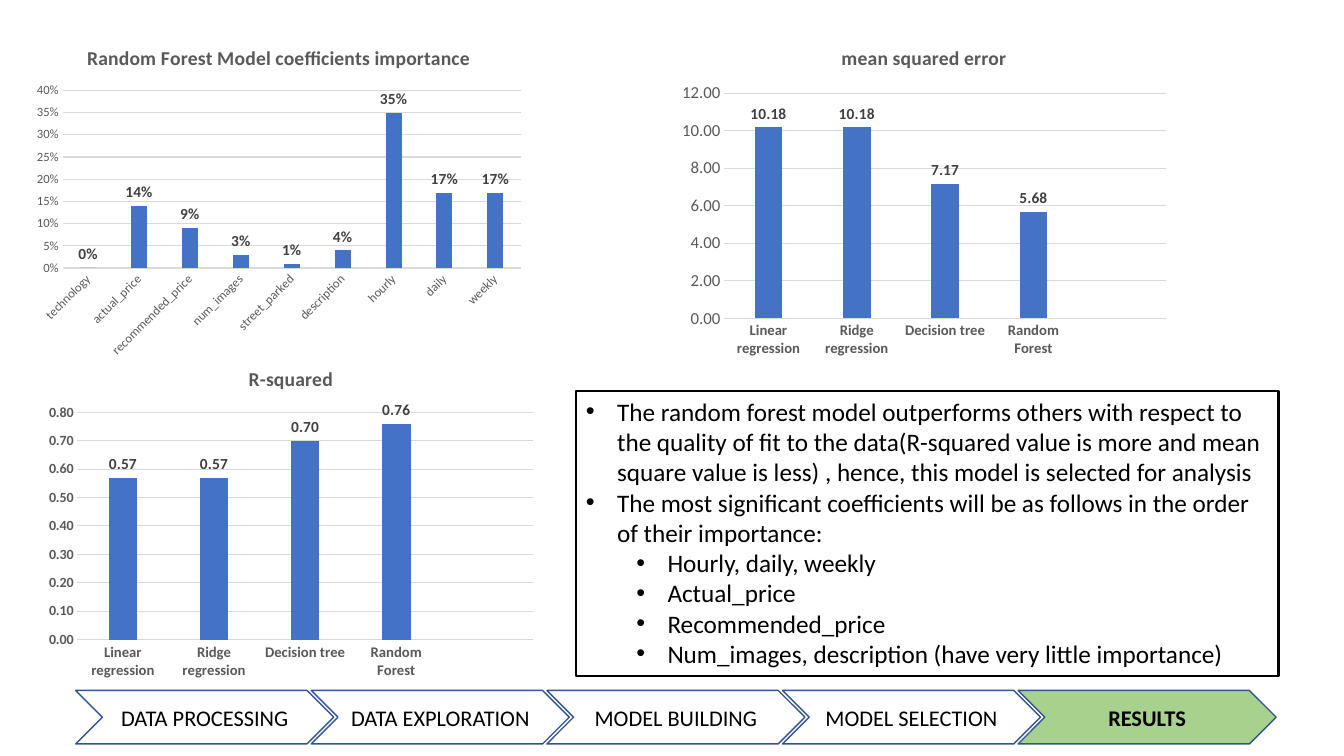
from dataclasses import dataclass

from lxml.etree import SubElement
from pptx import Presentation
from pptx.chart.data import CategoryChartData
from pptx.dml.color import RGBColor
from pptx.enum.chart import XL_CHART_TYPE, XL_LABEL_POSITION, XL_TICK_MARK
from pptx.enum.shapes import MSO_SHAPE
from pptx.enum.text import MSO_ANCHOR, MSO_AUTO_SIZE, PP_ALIGN
from pptx.oxml.ns import qn
from pptx.util import Emu, Inches, Pt

BLACK = RGBColor(0x00, 0x00, 0x00)
WHITE = RGBColor(0xFF, 0xFF, 0xFF)
BLUE = RGBColor(0x44, 0x72, 0xC4)
OUTLINE = RGBColor(0x32, 0x54, 0x91)
GREEN = RGBColor(0xA9, 0xD1, 0x8E)
GREY = RGBColor(0x59, 0x59, 0x59)
DARK_GREY = RGBColor(0x40, 0x40, 0x40)
PALE_GREY = RGBColor(0xD9, 0xD9, 0xD9)
FONT = "Calibri"

deck = Presentation()
deck.slide_width, deck.slide_height = Inches(13.33), Inches(7.5)
page = deck.slides.add_slide(deck.slide_layouts[1])


@dataclass(frozen=True)
class Area:
    left: float
    top: float
    width: float
    height: float

    def lengths(self) -> list[Emu]:
        pairs = ((self.left, deck.slide_width), (self.top, deck.slide_height),
                 (self.width, deck.slide_width), (self.height, deck.slide_height))
        return [Emu(round(share * side / 100)) for share, side in pairs]


@dataclass(frozen=True)
class ColumnChart:
    title: str
    left: float
    top: float
    categories: tuple
    values: tuple
    maximum: float
    step: float
    number_format: str = "0.00"
    category_size: float = 10.5
    category_bold: bool = True
    value_size: float = 12
    value_bold: bool = False
    slanted: bool = False


@dataclass(frozen=True)
class Bullet:
    text: str
    level: int = 0


def style_font(font, size: float, color: RGBColor, bold: bool = False) -> None:
    font.name, font.size, font.bold = FONT, Pt(size), bold
    font.color.rgb = color


def write(para, text: str, *, size: float, color: RGBColor = BLACK, bold: bool = False) -> None:
    span = para.add_run()
    span.text = text
    style_font(span.font, size, color, bold)


def style_line(line, color: RGBColor, width: float) -> None:
    line.color.rgb = color
    line.width = Pt(width)


def draw_chart(item: ColumnChart) -> None:
    data = CategoryChartData(number_format=item.number_format)
    data.categories = item.categories
    data.add_series(item.title, item.values)
    area = Area(item.left, item.top, 37.5, 44.5)
    chart = page.shapes.add_chart(XL_CHART_TYPE.COLUMN_CLUSTERED, *area.lengths(), data).chart
    style_font(chart.font, 10, BLACK)
    chart.has_legend = False
    chart.has_title = True
    write(chart.chart_title.text_frame.paragraphs[0], item.title, size=14, color=GREY, bold=True)
    chart.chart_title.include_in_layout = False

    plot = chart.plots[0]
    plot.vary_by_categories = False
    plot.gap_width, plot.overlap = 219, -27
    fill = plot.series[0].format.fill
    fill.solid()
    fill.fore_color.rgb = BLUE
    plot.has_data_labels = True
    labels = plot.data_labels
    labels.show_value = True
    labels.position = XL_LABEL_POSITION.OUTSIDE_END
    labels.number_format, labels.number_format_is_linked = item.number_format, False
    style_font(labels.font, 11, DARK_GREY, True)

    for axis in (chart.category_axis, chart.value_axis):
        axis.major_tick_mark = axis.minor_tick_mark = XL_TICK_MARK.NONE
    style_font(chart.category_axis.tick_labels.font, item.category_size, GREY, item.category_bold)
    style_line(chart.category_axis.format.line, PALE_GREY, 0.75)
    if item.slanted:
        chart.element.xpath(".//c:catAx/c:txPr/a:bodyPr")[0].set("rot", "-2700000")
    scale = chart.value_axis
    scale.minimum_scale, scale.maximum_scale, scale.major_unit = 0, item.maximum, item.step
    scale.format.line.fill.background()
    style_line(scale.major_gridlines.format.line, PALE_GREY, 0.75)
    scale.tick_labels.number_format = item.number_format
    scale.tick_labels.number_format_is_linked = False
    style_font(scale.tick_labels.font, item.value_size, GREY, item.value_bold)


def draw_findings(area: Area, bullets: tuple) -> None:
    box = page.placeholders[1]
    box.left, box.top, box.width, box.height = area.lengths()
    style_line(box.line, BLACK, 1.5)
    frame = box.text_frame
    frame.word_wrap = True
    frame.auto_size = MSO_AUTO_SIZE.NONE
    frame.vertical_anchor = MSO_ANCHOR.TOP
    for index, bullet in enumerate(bullets):
        para = frame.add_paragraph() if index else frame.paragraphs[0]
        para.level = bullet.level
        para.space_before = para.space_after = Pt(0)
        para.line_spacing = 1.0
        write(para, bullet.text, size=18)
        settings = para._p.get_or_add_pPr()
        settings.set("marL", str(Inches(0.31 + 0.5 * bullet.level)))
        settings.set("indent", str(Inches(-0.31)))
        SubElement(settings, qn("a:buFont")).set("typeface", "Arial")
        SubElement(settings, qn("a:buChar")).set("char", "•")


def draw_step(text: str, area: Area, *, fill: RGBColor, bold: bool) -> None:
    chevron = page.shapes.add_shape(MSO_SHAPE.CHEVRON, *area.lengths())
    chevron.shadow.inherit = False
    chevron.fill.solid()
    chevron.fill.fore_color.rgb = fill
    style_line(chevron.line, OUTLINE, 1)
    chevron.text_frame.vertical_anchor = MSO_ANCHOR.MIDDLE
    para = chevron.text_frame.paragraphs[0]
    para.alignment = PP_ALIGN.CENTER
    write(para, text, size=16, bold=bold)


FEATURES = ("technology", "actual_price", "recommended_price", "num_images", "street_parked",
            "description", "hourly", "daily", "weekly")
MODELS = ("Linear regression", "Ridge regression", "Decision tree", "Random Forest", "")
CHARTS = (
    ColumnChart("Random Forest Model coefficients importance", 2, 3.75, FEATURES,
                (0, 0.14, 0.09, 0.03, 0.01, 0.04, 0.35, 0.17, 0.17), 0.4, 0.05,
                number_format="0%", category_size=9, category_bold=False,
                value_size=9, slanted=True),
    ColumnChart("mean squared error", 50, 3.75, MODELS, (10.18, 10.18, 7.17, 5.68, None), 12, 2),
    ColumnChart("R-squared", 2.9, 46.25, MODELS, (0.57, 0.57, 0.7, 0.76, None), 0.8, 0.1,
                value_size=10, value_bold=True),
)
FINDINGS = (
    Bullet("The random forest model outperforms others with respect to the quality of fit to "
           "the data(R-squared value is more and mean square value is less) , hence, this "
           "model is selected for analysis"),
    Bullet("The most significant coefficients will be as follows in the order of their "
           "importance:"),
    Bullet("Hourly, daily, weekly", 1),
    Bullet("Actual_price", 1),
    Bullet("Recommended_price", 1),
    Bullet("Num_images, description (have very little importance)", 1),
)
STEPS = ("DATA PROCESSING", "DATA EXPLORATION", "MODEL BUILDING", "MODEL SELECTION", "RESULTS")
CURRENT_STEP = "RESULTS"
STEP_PITCH = 17.53

title = page.shapes.title.element
title.getparent().remove(title)
for column_chart in CHARTS:
    draw_chart(column_chart)
draw_findings(Area(42.84, 51.73, 52.29, 37.73), FINDINGS)
for position, step in enumerate(STEPS):
    current = step == CURRENT_STEP
    draw_step(step, Area(5.63 + position * STEP_PITCH, 91.33, 19.2, 7.07),
              fill=GREEN if current else WHITE, bold=current)

deck.save("out.pptx")
